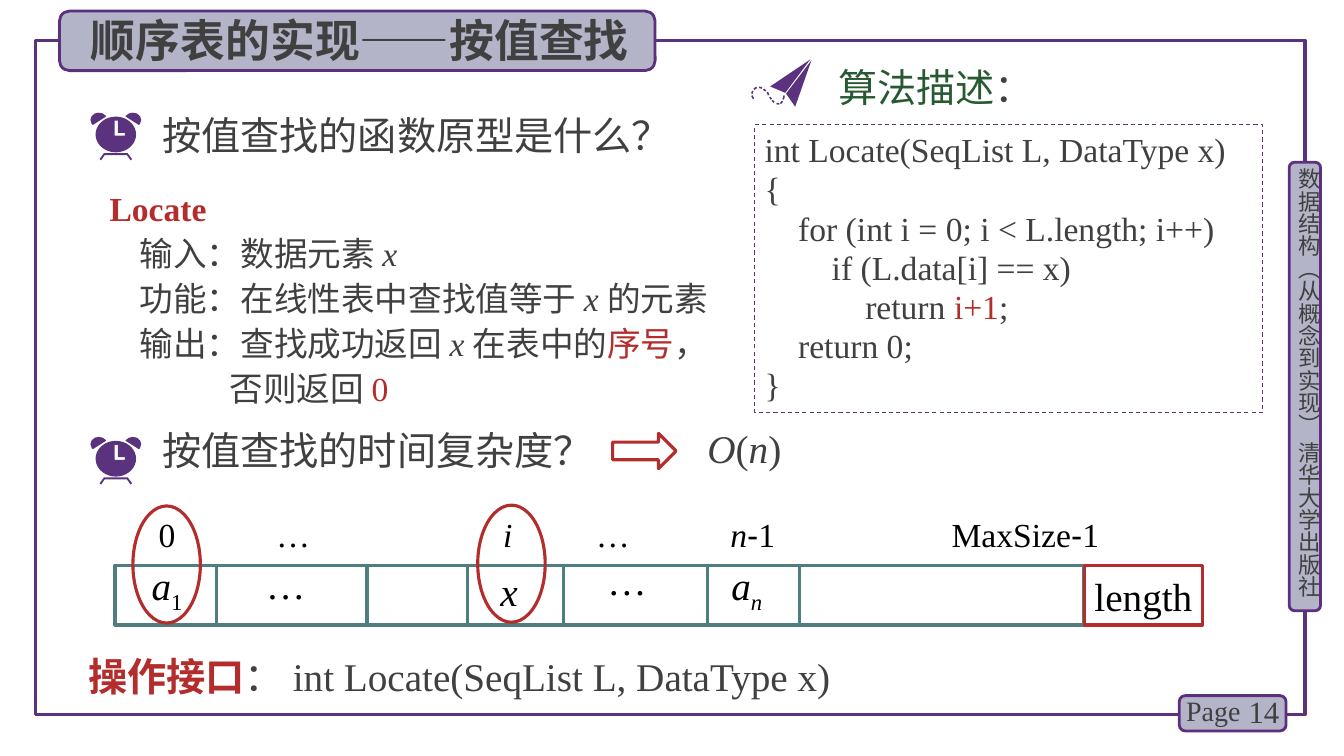
import math
from dataclasses import dataclass
from typing import Optional

from lxml import etree
from pptx import Presentation
from pptx import util as u
from pptx.dml.color import RGBColor
from pptx.enum import dml, shapes, text
from pptx.oxml import ns


# Theme: colours, fonts and type sizes
@dataclass(frozen=True)
class Theme:
    purple: str = "5A327D"
    edge: str = "5C307D"
    lilac: str = "B4B4C8"
    red: str = "B42D2D"
    teal: str = "507D7D"
    green: str = "285A32"
    ink: str = "404040"
    black: str = "000000"
    serif: str = "Times New Roman"
    sans: str = "Noto Sans CJK SC"
    arial: str = "Arial"
    title: int = 32
    heading: int = 28
    body: int = 24
    number: int = 22
    page: int = 20
    side: int = 16


T = Theme()
SHAPE = shapes.MSO_SHAPE
ALIGN = text.PP_ALIGN
Box = tuple[float, float, float, float]
Point = tuple[float, float]


@dataclass
class Run:
    text: str
    color: str = T.ink
    font: str = T.serif
    bold: bool = False
    italic: bool = False
    lowered: bool = False


@dataclass
class Para:
    runs: list[Run]
    indent: float = 0


@dataclass
class Style:
    size: int = T.heading
    leading: Optional[int] = None
    align: ALIGN = ALIGN.LEFT
    anchor: text.MSO_ANCHOR = text.MSO_ANCHOR.TOP
    insets: Box = (0.25, 0.13, 0.25, 0.13)
    vertical: bool = False


@dataclass
class Panel:
    box: Box
    preset: SHAPE
    line: str
    width: float = 2.25
    fill: Optional[str] = None
    dashed: bool = False


@dataclass
class Label:
    center: float
    top: float
    runs: list[Run]
    width: float = 2.2


# Drawing functions
def place(shape, box: Box) -> None:
    for side, value in zip(("left", "top", "width", "height"), box):
        setattr(shape, side, u.Cm(value))


def write(shape, paras: list[Para], style: Style) -> None:
    frame = shape.text_frame
    left, top, right, bottom = map(u.Cm, style.insets)
    frame_format = {"word_wrap": True, "auto_size": text.MSO_AUTO_SIZE.NONE,
                    "vertical_anchor": style.anchor, "margin_left": left,
                    "margin_top": top, "margin_right": right, "margin_bottom": bottom}
    for attribute, value in frame_format.items():
        setattr(frame, attribute, value)
    if style.vertical:
        frame._txBody.bodyPr.set("vert", "eaVert")
    for number, para in enumerate(paras):
        line = frame.add_paragraph() if number else frame.paragraphs[0]
        props = line._p.get_or_add_pPr()
        props.set("marL", str(u.Cm(para.indent)))
        props.set("indent", "0")
        etree.SubElement(props, ns.qn("a:buNone"))
        line_format = {"alignment": style.align, "space_before": u.Pt(0),
                       "line_spacing": u.Pt(style.leading) if style.leading else None}
        for attribute, value in line_format.items():
            setattr(line, attribute, value)
        for part in para.runs:
            run = line.add_run()
            run.text = part.text
            run.font.color.rgb = RGBColor.from_string(part.color)
            for attribute, value in {"size": u.Pt(style.size), "name": part.font,
                                     "bold": part.bold, "italic": part.italic}.items():
                setattr(run.font, attribute, value)
            run_props = run._r.get_or_add_rPr()
            etree.SubElement(run_props, ns.qn("a:ea")).set("typeface", T.sans)
            if part.lowered:
                run_props.set("baseline", "-25000")


def add_text(slide, box: Box, runs: list[Run], style: Style) -> None:
    write(slide.shapes.add_textbox(*map(u.Cm, box)), [Para(runs)], style)


def add_panel(slide, panel: Panel):
    shape = slide.shapes.add_shape(panel.preset, *map(u.Cm, panel.box))
    shape.shadow.inherit = False
    if panel.fill:
        shape.fill.solid()
        shape.fill.fore_color.rgb = RGBColor.from_string(panel.fill)
    else:
        shape.fill.background()
    shape.line.color.rgb = RGBColor.from_string(panel.line)
    shape.line.width = u.Pt(panel.width)
    if panel.dashed:
        shape.line.dash_style = dml.MSO_LINE.DASH
    return shape


def add_outline(slide, contours: list[list[Point]]) -> None:
    paths = [[(u.Cm(x), u.Cm(y)) for x, y in contour] for contour in contours]
    builder = slide.shapes.build_freeform(*paths[0][0])
    builder.add_line_segments(paths[0][1:])
    for path in paths[1:]:
        builder.move_to(*path[0])
        builder.add_line_segments(path[1:])
    shape = builder.convert_to_shape()
    shape.shadow.inherit = False
    shape.fill.solid()
    shape.fill.fore_color.rgb = RGBColor.from_string(T.purple)
    shape.line.fill.background()


def add_clock(slide, center: float, top: float) -> None:
    feet = [(0.41, 1.17), (0.3, 1.02), (-0.3, 1.02), (-0.41, 1.17),
            (-0.37, 1.2), (-0.28, 1.07), (0.28, 1.07), (0.37, 1.2)]
    bell = [(0.25, 0.08), (0.33, 0.02), (0.43, 0), (0.53, 0.02), (0.61, 0.09),
            (0.64, 0.18), (0.61, 0.28), (0.58, 0.31), (0.25, 0.1)]
    other_bell = [(-x, y) for x, y in bell]
    turns = [math.radians(angle) for angle in range(0, 360, 10)]
    face = [(0.51 * math.cos(turn), 0.55 + 0.45 * math.sin(turn)) for turn in turns]
    hands = [(-0.03, 0.2), (-0.03, 0.58), (0.23, 0.58), (0.23, 0.51), (0.05, 0.51), (0.05, 0.2)]
    for contours in ([feet], [other_bell], [bell], [face, hands]):
        add_outline(slide, [[(center + x, top + y) for x, y in part] for part in contours])


def add_paper_plane(slide) -> None:
    add_outline(slide, [[(20.45, 1.52), (20.04, 2.69), (19.81, 2.36)]])
    add_outline(slide, [[(20.42, 1.5), (19.79, 2.34), (19.41, 2.18)]])
    trail = [(19.76, 2.41, 19.74, 2.51), (19.72, 2.55, 19.67, 2.61), (19.64, 2.62, 19.57, 2.61),
             (19.51, 2.58, 19.46, 2.53), (19.44, 2.5, 19.4, 2.45), (19.37, 2.4, 19.34, 2.32),
             (19.3, 2.29, 19.24, 2.25), (19.2, 2.22, 19.13, 2.2), (19.07, 2.2, 19.0, 2.25),
             (18.97, 2.29, 18.95, 2.36), (18.95, 2.41, 18.99, 2.49)]
    for x1, y1, x2, y2 in trail:
        reach = 0.02 / math.hypot(x2 - x1, y2 - y1)
        dx, dy = (y1 - y2) * reach, (x2 - x1) * reach
        add_outline(slide, [[(x1 + dx, y1 + dy), (x2 + dx, y2 + dy),
                             (x2 - dx, y2 - dy), (x1 - dx, y1 - dy)]])


def add_divider(slide, x: float, top: float, bottom: float) -> None:
    divider = slide.shapes.add_connector(shapes.MSO_CONNECTOR.STRAIGHT,
                                         *map(u.Cm, (x, top, x, bottom)))
    divider.line.color.rgb = RGBColor.from_string(T.teal)
    divider.line.width = u.Pt(2.25)
    etree.SubElement(divider._element.spPr, ns.qn("a:effectLst"))


def black(words: str, **changes) -> Run:
    return Run(words, T.black, **changes)


def main() -> None:
    deck = Presentation()
    deck.slide_width, deck.slide_height = u.Cm(33.87), u.Cm(19.05)
    slide = deck.slides.add_slide(deck.slide_layouts[1])
    title, locate = slide.placeholders

    # Frame, side bar, page number and title plate
    add_panel(slide, Panel((0.89, 1.02, 32, 16.99), SHAPE.RECTANGLE, T.purple))
    for plate in ((32.49, 4.09, 0.79, 11.3), (29.72, 17.53, 2.69, 0.89), (1.5, 0.28, 15.01, 1.5)):
        add_panel(slide, Panel(plate, SHAPE.ROUNDED_RECTANGLE, T.edge, 2, T.lilac))
    add_text(slide, (32.64, 4.24, 0.69, 11.4), [Run("数据结构（从概念到实现） 清华大学出版社", font=T.sans)],
             Style(T.side, insets=(0, 0, 0, 0), vertical=True))
    add_text(slide, (30.99, 17.42, 1.5, 1.02), [Run("14")],
             Style(T.number, align=ALIGN.RIGHT, anchor=text.MSO_ANCHOR.MIDDLE))
    add_text(slide, (29.64, 17.35, 1.98, 1.12), [Run("Page")], Style(T.page))
    slide.shapes._spTree.append(title._element)
    place(title, (1.85, 0.18, 14.45, 1.63))
    write(title, [Para([Run("顺序表的实现——按值查找", font=T.sans, bold=True)])],
          Style(T.title, align=ALIGN.CENTER))

    # Questions and answer
    for top in (2.84, 11.01):
        add_clock(slide, 2.92, top)
    add_text(slide, (3.84, 2.67, 15.19, 1.45), [Run("按值查找的函数原型是什么？", font=T.sans)], Style())
    add_text(slide, (3.84, 10.82, 11.99, 1.24), [Run("按值查找的时间复杂度？", font=T.sans)], Style(leading=28))
    add_panel(slide, Panel((15.44, 10.92, 1.6, 0.89), SHAPE.RIGHT_ARROW, T.red))
    add_text(slide, (17.58, 10.77, 2.41, 1.24),
             [Run("O", italic=True), Run("("), Run("n", italic=True), Run(")")], Style(leading=28))

    # Function prototype
    x = Run("x ", italic=True)
    place(locate, (2.51, 4.5, 23.7, 5.94))
    write(locate, [
        Para([Run("Locate", T.red, bold=True)]),
        Para([Run("输入：数据元素 "), Run("x", italic=True)], 0.76),
        Para([Run("功能：在线性表中查找值等于 "), x, Run("的元素")], 0.76),
        Para([Run("输出：查找成功返回 "), x, Run("在表中的"), Run("序号", T.red), Run("，")], 0.76),
        Para([Run("否则返回 "), Run("0", T.red)], 3.03),
    ], Style(T.body, 32, ALIGN.JUSTIFY))

    # Algorithm
    add_paper_plane(slide)
    add_text(slide, (20.88, 1.47, 7.32, 1.45),
             [Run("算法描述", T.green, T.sans), Run("：", font=T.sans)], Style())
    code = add_panel(slide, Panel((19.02, 3.15, 12.8, 7.24), SHAPE.RECTANGLE, T.purple, 0.75, dashed=True))
    code_lines = [[Run("int Locate(SeqList L, DataType x)")], [Run("{")],
                  [Run("    for (int i = 0; i < L.length; i++)")],
                  [Run("        if (L.data[i] == x)")],
                  [Run("            return "), Run("i+1", T.red), Run(";")],
                  [Run("    return 0;")], [Run("}")]]
    write(code, [Para(runs) for runs in code_lines], Style(T.body, 28))

    # Sequential list: indices above, elements in the cells
    top, height = 14.25, 1.5
    add_panel(slide, Panel((2.9, top, 24.41, height), SHAPE.RECTANGLE, T.teal))
    for edge in (5.45, 9.25, 11.79, 14.21, 17.83, 20.14):
        add_divider(slide, edge, top, top + height)
    dash, dots = black("-", font=T.arial), black("…")
    indices = [Label(4.21, 12.83, [black("0")]), Label(7.39, 12.83, [dots]),
               Label(12.8, 12.83, [black("i", italic=True)]), Label(15.45, 12.83, [dots]),
               Label(18.97, 12.83, [black("n", italic=True), dash, black("1")]),
               Label(25.84, 12.83, [black("MaxSize"), dash, black("1")], 5)]
    a = black("a", italic=True)
    elements = [Label(4.21, 14.3, [a, black("1", lowered=True)]), Label(7.2, 14.12, [dots]),
                Label(12.83, 14.3, [black("x", italic=True)]), Label(15.8, 14.02, [dots]),
                Label(18.82, 14.3, [a, black("n", italic=True, lowered=True)])]
    cell = Style(T.heading, 30, ALIGN.CENTER, insets=(0, 0.13, 0, 0.13))
    for labels, style in ((indices, Style(T.body, align=ALIGN.CENTER)), (elements, cell)):
        for label in labels:
            add_text(slide, (label.center - label.width / 2, label.top, label.width, 1.27), label.runs, style)
    length = add_panel(slide, Panel((27.33, top, 2.97, height), SHAPE.RECTANGLE, T.red))
    write(length, [Para([black("length")])], Style(T.heading, 30, ALIGN.CENTER, insets=(0, 0.3, 0, 0.13)))
    for ring in ((12.04, 12.73), (3.35, 12.75)):
        add_panel(slide, Panel((*ring, 1.7, 2.95), SHAPE.OVAL, T.red))

    # Interface
    add_text(slide, (1.98, 16.61, 22.78, 1.14),
             [Run("操作接口", T.red, T.sans, bold=True), Run("： int Locate(SeqList L, DataType x)")],
             Style(leading=25))
    deck.save("out.pptx")


if __name__ == "__main__":
    main()
